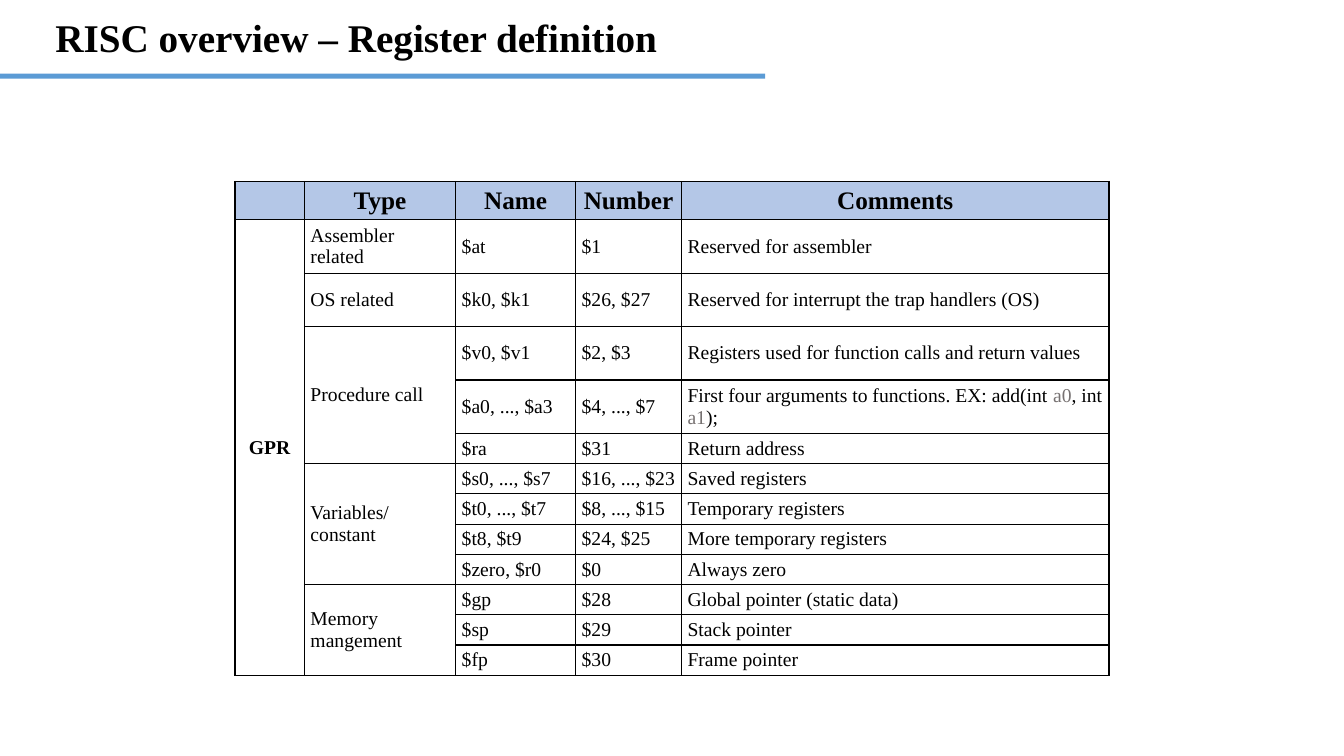
import lxml.etree
import pptx
import pptx.dml.color
import pptx.enum.shapes
import pptx.enum.text
import pptx.oxml.ns
import pptx.util

Inches = pptx.util.Inches
ALIGN = pptx.enum.text.PP_ALIGN
FONT = "Times New Roman"
BLACK, WHITE, GREY = "000000", "FFFFFF", "767171"
BAR_BLUE, HEADER_BLUE = "5B9BD5", "B4C7E7"

HEADINGS = ["", "Type", "Name", "Number", "Comments"]
COLUMN_WIDTHS = [0.69, 1.5, 1.19, 1.05, 4.24]
HEADER_HEIGHT, TALL, SHORT = 0.38, 0.53, 0.3

# Register types, each with rows of height, name, number and comment;
# text between bars is grey
REGISTERS = {
    "Assembler related": [(TALL, "$at", "$1", "Reserved for assembler")],
    "OS related": [
        (TALL, "$k0, $k1", "$26, $27", "Reserved for interrupt the trap handlers (OS)"),
    ],
    "Procedure call": [
        (TALL, "$v0, $v1", "$2, $3", "Registers used for function calls and return values"),
        (TALL, "$a0, ..., $a3", "$4, ..., $7",
         "First four arguments to functions. EX: add(int |a0|, int |a1|);"),
        (SHORT, "$ra", "$31", "Return address"),
    ],
    "Variables/constant": [
        (SHORT, "$s0, ..., $s7", "$16, ..., $23", "Saved registers"),
        (SHORT, "$t0, ..., $t7", "$8, ..., $15", "Temporary registers"),
        (SHORT, "$t8, $t9", "$24, $25", "More temporary registers"),
        (SHORT, "$zero, $r0", "$0", "Always zero"),
    ],
    "Memory mangement": [
        (SHORT, "$gp", "$28", "Global pointer (static data)"),
        (SHORT, "$sp", "$29", "Stack pointer"),
        (SHORT, "$fp", "$30", "Frame pointer"),
    ],
}


def color(value):
    return pptx.dml.color.RGBColor.from_string(value)


def write(para, text, size, bold=False):
    """Fill a paragraph, with the parts between bars in grey."""
    for index, part in enumerate(text.split("|")):
        span = para.add_run()
        span.text = part
        span.font.name = FONT
        span.font.size = pptx.util.Pt(size)
        span.font.bold = bold
        span.font.color.rgb = color(GREY if index % 2 else BLACK)


def add_title(page, text):
    box = page.shapes.add_textbox(Inches(0.45), Inches(0.08), Inches(6.28), Inches(1.04))
    box.text_frame.word_wrap = False
    write(box.text_frame.paragraphs[0], text, 28, bold=True)


def add_bar(page):
    bar = page.shapes.add_shape(
        pptx.enum.shapes.MSO_SHAPE.RECTANGLE, 0, Inches(0.73), Inches(7.59), Inches(0.05))
    bar.shadow.inherit = False
    bar.fill.solid()
    bar.fill.fore_color.rgb = color(BAR_BLUE)
    bar.line.fill.background()


def style_cell(cell, fill):
    """Set the margins, anchor, borders and fill of a cell."""
    cell.margin_left = cell.margin_right = Inches(0.06)
    cell.margin_top = cell.margin_bottom = Inches(0.03)
    cell.vertical_anchor = pptx.enum.text.MSO_ANCHOR.MIDDLE
    properties = cell._tc.get_or_add_tcPr()
    qn = pptx.oxml.ns.qn
    for side in ("a:lnL", "a:lnR", "a:lnT", "a:lnB"):
        border = lxml.etree.SubElement(properties, qn(side), w=str(pptx.util.Pt(1)))
        paint = lxml.etree.SubElement(border, qn("a:solidFill"))
        lxml.etree.SubElement(paint, qn("a:srgbClr"), val=BLACK)
    cell.fill.solid()
    cell.fill.fore_color.rgb = color(fill)


def write_cell(cell, text, size=14, bold=False, align=ALIGN.LEFT):
    para = cell.text_frame.paragraphs[0]
    para.alignment = align
    write(para, text, size, bold)


def add_register_table(page):
    heights = [HEADER_HEIGHT] + [row[0] for rows in REGISTERS.values() for row in rows]
    table = page.shapes.add_table(
        len(heights), len(HEADINGS), Inches(2.33), Inches(1.8),
        Inches(sum(COLUMN_WIDTHS)), Inches(sum(heights))).table
    table.first_row = table.horz_banding = False
    for column, width in zip(table.columns, COLUMN_WIDTHS):
        column.width = Inches(width)
    for index, height in enumerate(heights):
        table.rows[index].height = Inches(height)
        for cell in table.rows[index].cells:
            style_cell(cell, WHITE if index else HEADER_BLUE)

    # Header row
    for column, heading in enumerate(HEADINGS):
        if heading:
            write_cell(table.cell(0, column), heading, 18, True, ALIGN.CENTER)

    # Register rows, with one merged cell for each type
    top = 1
    for kind, rows in REGISTERS.items():
        if len(rows) > 1:
            table.cell(top, 1).merge(table.cell(top + len(rows) - 1, 1))
        write_cell(table.cell(top, 1), kind)
        for index, (_, *texts) in enumerate(rows, top):
            for column, text in enumerate(texts, 2):
                write_cell(table.cell(index, column), text)
        top += len(rows)

    # Group cell down the left side
    table.cell(1, 0).merge(table.cell(top - 1, 0))
    write_cell(table.cell(1, 0), "GPR", bold=True, align=ALIGN.CENTER)


def main():
    deck = pptx.Presentation()
    deck.slide_width, deck.slide_height = Inches(13.33), Inches(7.5)
    page = deck.slides.add_slide(deck.slide_layouts[6])
    add_title(page, "RISC overview – Register definition")
    add_bar(page)
    add_register_table(page)
    deck.save("out.pptx")


if __name__ == "__main__":
    main()
